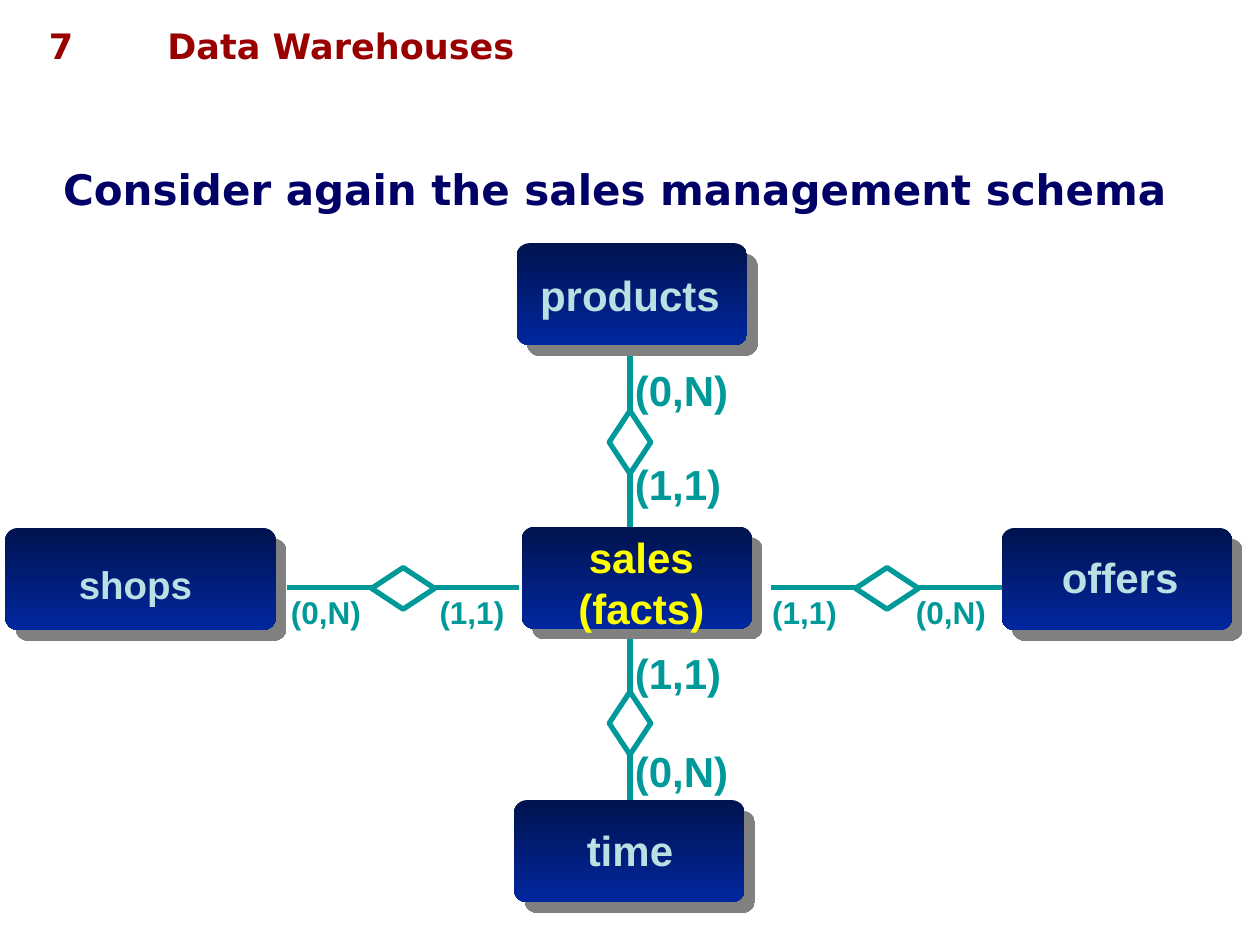
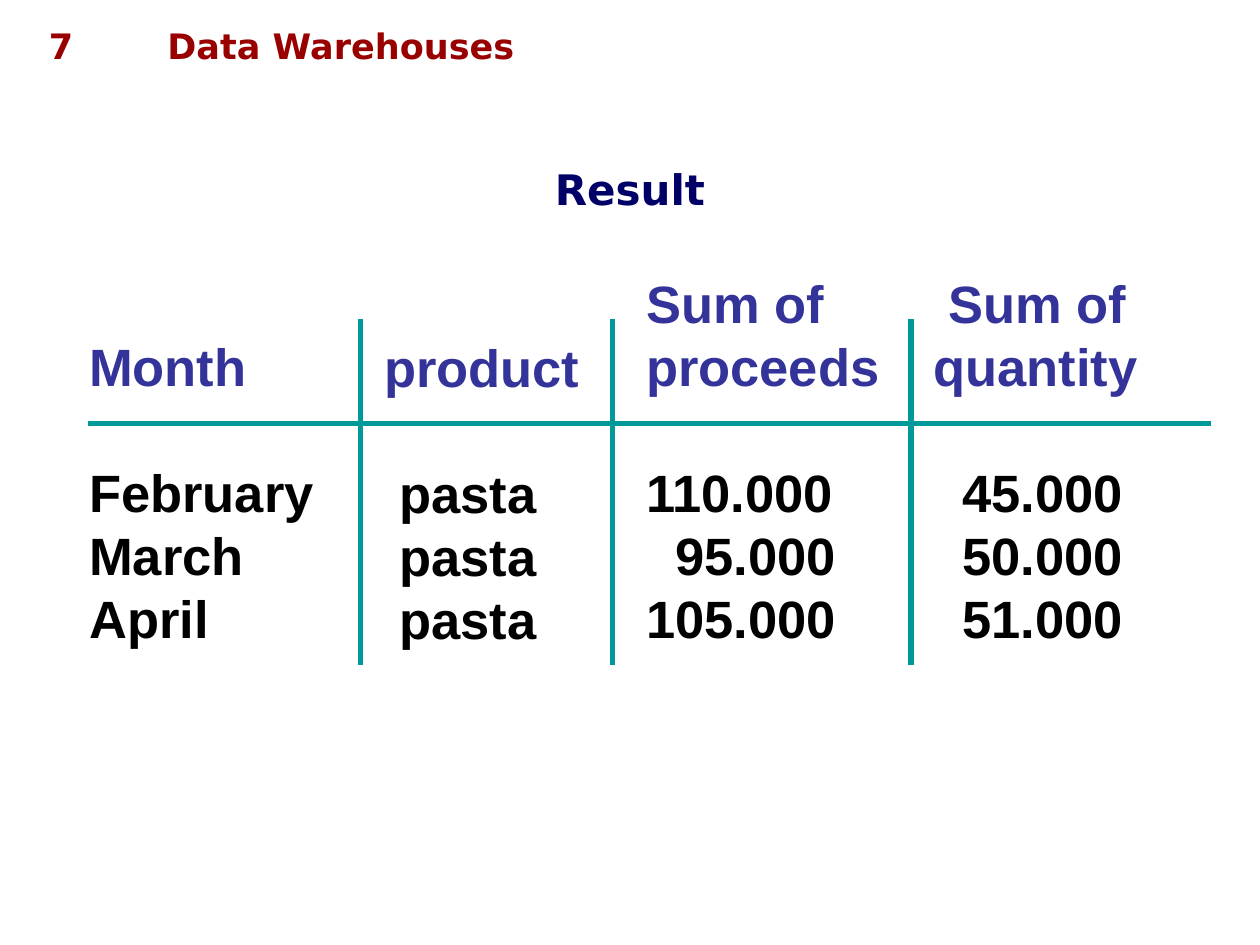
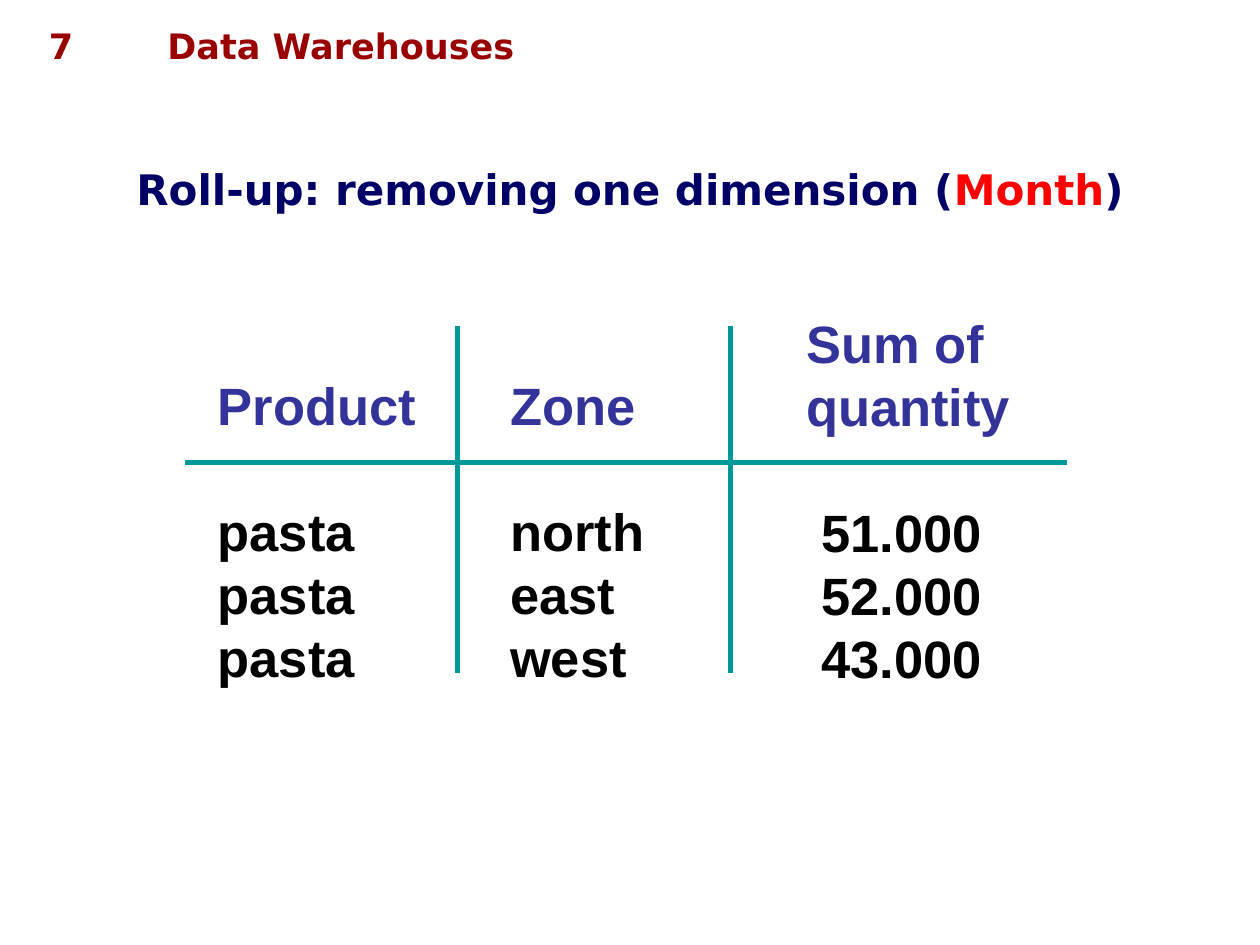
from lxml import etree
from pptx import Presentation
from pptx.dml.color import RGBColor
from pptx.enum.shapes import MSO_CONNECTOR, MSO_SHAPE
from pptx.enum.text import MSO_ANCHOR, PP_ALIGN
from pptx.oxml import parse_xml
from pptx.oxml.ns import nsdecls, qn
from pptx.util import Inches, Pt

RED = RGBColor(0x99, 0x00, 0x00)
BRIGHT_RED = RGBColor(0xFF, 0x00, 0x00)
NAVY = RGBColor(0x00, 0x00, 0x66)
INDIGO = RGBColor(0x33, 0x33, 0x99)
TEAL = RGBColor(0x00, 0x99, 0x99)
PALE_BLUE = RGBColor(0xBB, 0xE0, 0xE3)
YELLOW = RGBColor(0xFF, 0xFF, 0x00)
WHITE = RGBColor(0xFF, 0xFF, 0xFF)
BLACK = RGBColor(0x00, 0x00, 0x00)
ENTITY_TOP = RGBColor(0x00, 0x13, 0x4F)
ENTITY_BOTTOM = RGBColor(0x00, 0x27, 0x9F)

HEADING_FONT = "DejaVu Sans"
BODY_FONT = "Arial"
LEFT, CENTER = PP_ALIGN.LEFT, PP_ALIGN.CENTER

SHADOW = (
    f'<a:outerShdw {nsdecls("a")} dist="107950" dir="2700000" algn="ctr" rotWithShape="0">'
    '<a:srgbClr val="808080"/></a:outerShdw>'
)


def add_text(page, left, top, width, height, lines, size, font, align):
    box = page.shapes.add_textbox(Inches(left), Inches(top), Inches(width), Inches(height))
    frame = box.text_frame
    frame.word_wrap = True
    frame.vertical_anchor = MSO_ANCHOR.MIDDLE
    for index, spans in enumerate(lines):
        para = frame.add_paragraph() if index else frame.paragraphs[0]
        para.alignment = align
        for text, color in spans:
            span = para.add_run()
            span.text = text
            span.font.size = Pt(size)
            span.font.name = font
            span.font.bold = True
            span.font.color.rgb = color
    return frame.paragraphs


def add_rule(page, x1, y1, x2, y2):
    rule = page.shapes.add_connector(
        MSO_CONNECTOR.STRAIGHT, Inches(x1), Inches(y1), Inches(x2), Inches(y2)
    )
    rule.line.color.rgb = TEAL
    rule.line.width = Pt(3)
    etree.SubElement(rule._element.spPr, qn("a:effectLst"))


deck = Presentation()
deck.slide_width = Inches(10)
deck.slide_height = Inches(7.5)

titles = [
    (9.76, [("Consider again the sales management schema", NAVY)]),
    (10, [("Result", NAVY)]),
    (10, [("Roll-up: removing one dimension (", NAVY), ("Month", BRIGHT_RED), (")", NAVY)]),
]
for title_width, spans in titles:
    page = deck.slides.add_slide(deck.slide_layouts[6])
    add_text(page, 1.23, 0.14, 8.51, 0.44, [[("Data Warehouses", RED)]], 20, HEADING_FONT, LEFT)
    add_text(page, 0.13, 0.14, 0.71, 0.44, [[("7", RED)]], 20, HEADING_FONT, CENTER)
    add_text(page, 0, 1.23, title_width, 0.54, [spans], 24, HEADING_FONT, CENTER)

schema_page, result_page, rollup_page = deck.slides

relationships = [
    (5, 2.59, 5, 4.43, 5, 3.51, 0.33, 0.5),
    (5, 4.82, 5, 6.65, 5, 5.74, 0.33, 0.5),
    (2.28, 4.66, 4.12, 4.66, 3.2, 4.67, 0.5, 0.33),
    (6.12, 4.66, 7.95, 4.66, 7.04, 4.67, 0.5, 0.33),
]
for x1, y1, x2, y2, center_x, center_y, width, height in relationships:
    add_rule(schema_page, x1, y1, x2, y2)
    diamond = schema_page.shapes.add_shape(
        MSO_SHAPE.FLOWCHART_DECISION,
        Inches(center_x - width / 2), Inches(center_y - height / 2),
        Inches(width), Inches(height),
    )
    diamond.shadow.inherit = False
    diamond.fill.solid()
    diamond.fill.fore_color.rgb = WHITE
    diamond.line.color.rgb = TEAL
    diamond.line.width = Pt(3)

entities = [
    ("sales (facts)", 4.14, 4.18, 1.83, 4.09, 4.17, 2, 0.9, 24, YELLOW),
    ("products", 4.1, 1.93, 1.83, 4, 2.09, 2, 0.5, 24, PALE_BLUE),
    ("time", 4.08, 6.35, 1.83, 4, 6.49, 2, 0.5, 24, PALE_BLUE),
    ("shops", 0.04, 4.19, 2.15, -0.05, 4.41, 2.25, 0.46, 22, PALE_BLUE),
    ("offers", 7.95, 4.19, 1.83, 7.89, 4.33, 2, 0.5, 24, PALE_BLUE),
]
for name, left, top, width, *name_place, size, color in entities:
    entity = schema_page.shapes.add_shape(
        MSO_SHAPE.ROUNDED_RECTANGLE, Inches(left), Inches(top), Inches(width), Inches(0.81)
    )
    entity.adjustments[0] = 0.125
    entity.fill.gradient()
    entity.fill.gradient_angle = 270
    for stop, shade in zip(entity.fill.gradient_stops, (ENTITY_TOP, ENTITY_BOTTOM)):
        stop.color.rgb = shade
    entity.line.fill.background()
    entity.shadow.inherit = False
    entity._element.spPr.find(qn("a:effectLst")).append(parse_xml(SHADOW))
    add_text(schema_page, *name_place, [[(name, color)]], size, BODY_FONT, CENTER)

for left, labels, tab_stop in [(2.21, "(0,N)\t(1,1)", 1.18), (6.03, "(1,1)\t(0,N)", 1.14)]:
    paras = add_text(schema_page, left, 4.66, 1.95, 0.4, [[(labels, TEAL)]], 18, BODY_FONT, LEFT)
    tabs = etree.SubElement(paras[0]._p.get_or_add_pPr(), qn("a:tabLst"))
    etree.SubElement(tabs, qn("a:tab"), pos=str(Inches(tab_stop)), algn="l")

for top, width, height, labels, gap in [
    (2.73, 1.92, 1.35, ("(0,N)", "(1,1)"), 16.5),
    (4.97, 2.5, 1.4, ("(1,1)", "(0,N)"), 18.5),
]:
    lines = [[(label, TEAL)] for label in labels]
    paras = add_text(schema_page, 4.94, top, width, height, lines, 24, BODY_FONT, LEFT)
    for para in paras:
        para.line_spacing = 1.3
    paras[1].space_before = Pt(gap)

result_columns = [
    (0.61, 2.6, 2.25, 2.6, ["Month"], 0, ["February", "March", "April"], [0, 0, 0]),
    (2.95, 2.61, 2.25, 2.6, ["product"], 0, ["pasta"] * 3, [0.12] * 3),
    (5.03, 2.1, 2.28, 3.1, ["Sum of proceeds"], 0, ["110.000", "95.000", "105.000"], [0, 0.23, 0]),
    (7.31, 2.1, 2.3, 3.1, ["Sum of quantity"], 0.12, ["45.000", "50.000", "51.000"], [0.23] * 3),
]
rollup_columns = [
    (1.63, 2.91, 2.25, 2.6, ["Product"], 0, ["pasta"] * 3, [0] * 3),
    (3.95, 2.91, 1.42, 2.6, ["Zone"], 0, ["north", "east", "west"], [0] * 3),
    (6.3, 2.42, 2, 3.1, ["Sum of", "quantity"], 0, ["51.000", "52.000", "43.000"], [0.12] * 3),
]
grids = [
    (result_page, result_columns, (2.86, 4.86, 7.23), 2.53, 0.7, 9.61, 3.36),
    (rollup_page, rollup_columns, (3.63, 5.8), 2.59, 1.47, 8.47, 3.67),
]
for page, columns, dividers, divider_top, rule_start, rule_end, rule_top in grids:
    for left, top, width, height, headers, header_indent, values, value_indents in columns:
        lines = [[(header, INDIGO)] for header in headers] + [[(value, BLACK)] for value in values]
        paras = add_text(page, left, top, width, height, lines, 30, BODY_FONT, LEFT)
        paras[len(headers)].space_before = Pt(36)
        indents = [header_indent] * len(headers) + value_indents
        for para, indent in zip(paras, indents):
            para._p.get_or_add_pPr().set("indent", str(Inches(indent)))
    add_rule(page, rule_start, rule_top, rule_end, rule_top)
    for divider in dividers:
        add_rule(page, divider, divider_top, divider, divider_top + 2.75)

deck.save("out.pptx")
